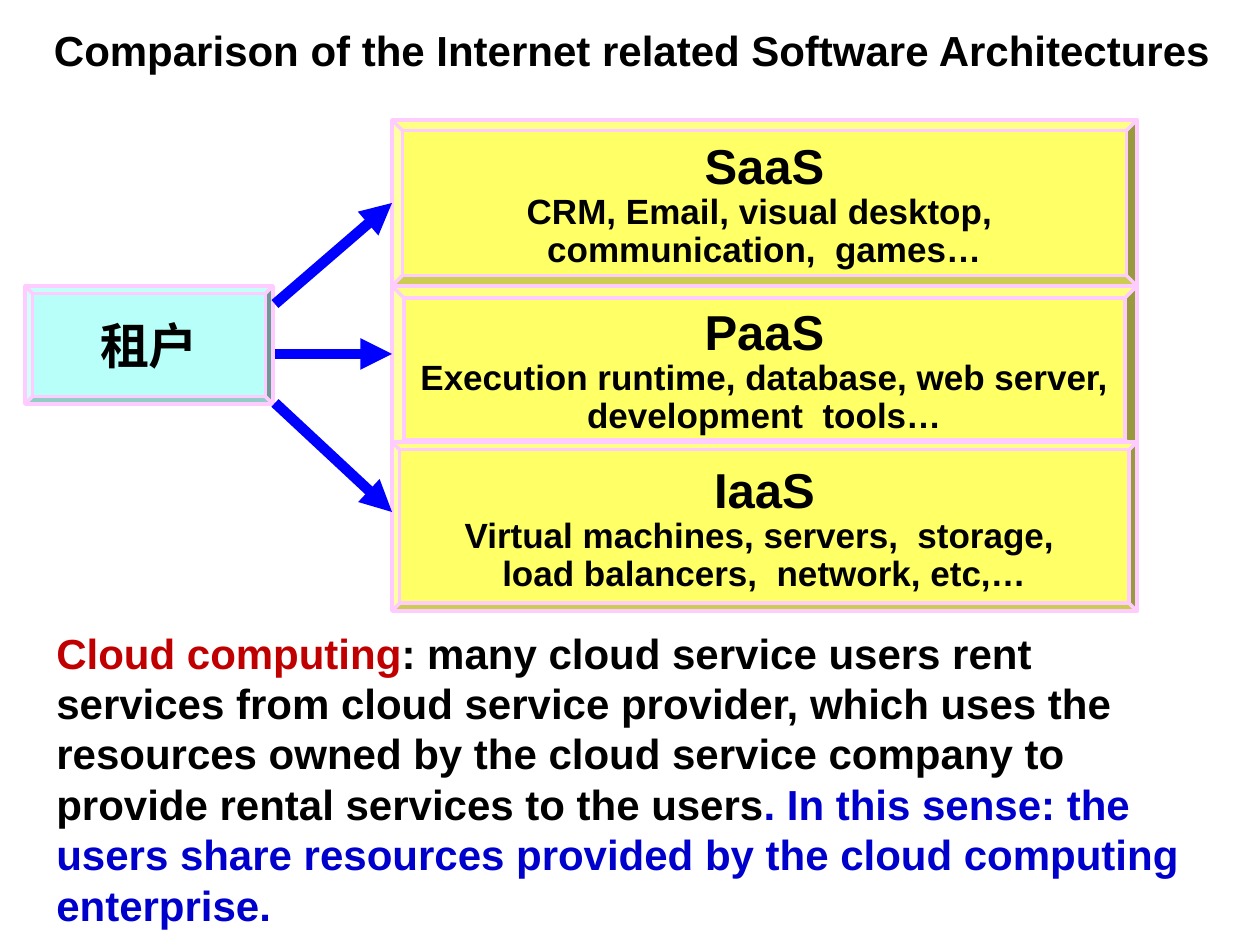
from lxml.etree import SubElement
from pptx import Presentation
from pptx.dml.color import RGBColor
from pptx.enum.shapes import MSO_CONNECTOR, MSO_SHAPE
from pptx.enum.text import MSO_ANCHOR, PP_ALIGN
from pptx.oxml.ns import qn
from pptx.util import Emu, Pt

PX = 914400 // 126
COLORS = {
    "text": "000000", "service": "FFFF66", "tenant": "B7FFF8", "border": "FFCCFF",
    "arrow": "0000FF", "term": "C00000", "conclusion": "0000CC",
}
LATIN, CJK = "Arial", "Noto Sans CJK SC"

TITLE = "Comparison of the Internet related Software Architectures"
TENANT = "租户"
# name, examples, top, height, bevel depth
SERVICES = [
    ("SaaS", ["CRM, Email, visual desktop, ", "communication,  games…"], 120, 166, 0.063),
    ("PaaS", ["Execution runtime, database, web server, ", "development  tools…"],
     286, 166, 0.072),
    ("IaaS", ["Virtual machines, servers,  storage, ", "load balancers,  network, etc,…"],
     442, 169, 0.046),
]
SUMMARY = [
    ("Cloud computing", "term"),
    (": many cloud service users rent services from cloud service provider, which uses "
     "the resources owned by the cloud service company to provide rental services "
     "to the users", "text"),
    (". In this sense: the users share resources provided by the cloud computing "
     "enterprise.", "conclusion"),
]
SERVICE_LEFT, SERVICE_WIDTH = 392, 745
TENANT_BOX = (25, 286, 248, 118)
ARROW_START = 275
ARROW_HEIGHTS = [(304, 203), (354, 354), (403, 512)]


def px(*lengths):
    return [Emu(length * PX) for length in lengths]


def rgb(name):
    return RGBColor.from_string(COLORS[name])


def style(paragraph, size, align=PP_ALIGN.CENTER, spacing=None, font=LATIN):
    paragraph.alignment = align
    paragraph.line_spacing = spacing
    paragraph.font.name = font
    paragraph.font.size = Pt(size)
    paragraph.font.bold = True
    paragraph.font.color.rgb = rgb("text")


def add_bevel(slide, box, depth, fill):
    """Add a bevelled box and return its text frame."""
    bevel = slide.shapes.add_shape(MSO_SHAPE.BEVEL, *px(*box))
    bevel.adjustments[0] = depth
    bevel.shadow.inherit = False
    bevel.fill.solid()
    bevel.fill.fore_color.rgb = rgb(fill)
    bevel.line.color.rgb = rgb("border")
    bevel.line.width = Pt(2)
    frame = bevel.text_frame
    frame.word_wrap = True
    frame.vertical_anchor = MSO_ANCHOR.MIDDLE
    return frame


def add_service(slide, name, examples, top, height, depth):
    frame = add_bevel(slide, (SERVICE_LEFT, top, SERVICE_WIDTH, height), depth, "service")
    heading = frame.paragraphs[0]
    heading.text = name
    style(heading, 28)
    for example in examples:
        line = frame.add_paragraph()
        line.text = example
        style(line, 20, spacing=0.9)


def add_tenant(slide):
    label = add_bevel(slide, TENANT_BOX, 0.063, "tenant").paragraphs[0]
    run = label.add_run()
    run.text = TENANT
    style(label, 28, font=CJK)
    SubElement(run.font._element.get_or_add_rPr() if hasattr(run.font._element, "get_or_add_rPr")
               else run._r.get_or_add_rPr(), qn("a:ea"), typeface=CJK)


def add_arrow(slide, start_y, end_y):
    arrow = slide.shapes.add_connector(
        MSO_CONNECTOR.STRAIGHT, *px(ARROW_START, start_y, SERVICE_LEFT, end_y))
    arrow.line.color.rgb = rgb("arrow")
    arrow.line.width = Pt(6)
    SubElement(arrow.line._get_or_add_ln(), qn("a:tailEnd"), type="triangle")
    SubElement(arrow._element.spPr, qn("a:effectLst"))


def add_text(slide, box):
    """Add a wrapping text box and return its first paragraph."""
    frame = slide.shapes.add_textbox(*px(*box)).text_frame
    frame.word_wrap = True
    return frame.paragraphs[0]


def main():
    deck = Presentation()
    deck.slide_width, deck.slide_height = px(1260, 945)
    slide = deck.slides.add_slide(deck.slide_layouts[6])

    for service in SERVICES:
        add_service(slide, *service)
    add_tenant(slide)
    for start_y, end_y in ARROW_HEIGHTS:
        add_arrow(slide, start_y, end_y)

    title = add_text(slide, (39, 26, 1186, 88))
    title.text = TITLE
    style(title, 24, spacing=0.85)

    summary = add_text(slide, (44, 621, 1150, 318))
    style(summary, 24, align=PP_ALIGN.LEFT)
    for words, color in SUMMARY:
        run = summary.add_run()
        run.text = words
        run.font.color.rgb = rgb(color)

    deck.save("out.pptx")


if __name__ == "__main__":
    main()
